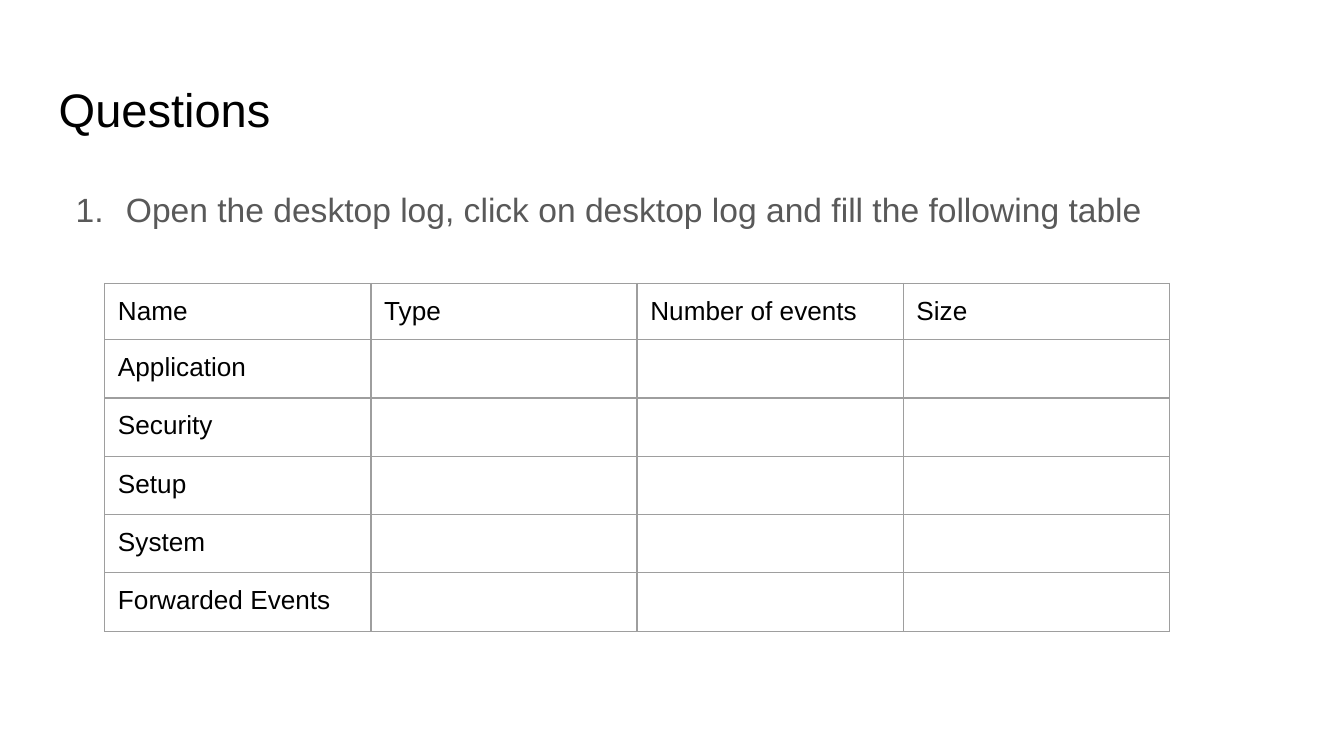
"""Build the Questions slide: one numbered task and the log table to fill in."""

from dataclasses import dataclass

from lxml import etree
from pptx import Presentation
from pptx.dml.color import RGBColor
from pptx.enum.text import MSO_ANCHOR, MSO_AUTO_SIZE, PP_ALIGN
from pptx.oxml.ns import qn
from pptx.util import Cm, Pt

LEFT = PP_ALIGN.LEFT
TOP, BOTTOM = MSO_ANCHOR.TOP, MSO_ANCHOR.BOTTOM
NO_AUTOFIT = MSO_AUTO_SIZE.NONE

COLORS = {"paper": "FFFFFF", "heading": "000000", "task": "595959", "rule": "9E9E9E"}
FONT = "Arial"
INSET = Cm(0.25)
COLUMN_WIDTH, ROW_HEIGHT = Cm(5.03), Cm(1.06)
RULE_WIDTH = Pt(0.75)
HEADERS = ("Name", "Type", "Number of events", "Size")
LOGS = ("Application", "Security", "Setup", "System", "Forwarded Events")


@dataclass(frozen=True)
class Box:
    """Place and size of a part of the slide."""

    left: Cm
    top: Cm
    width: Cm
    height: Cm


TITLE_BOX = Box(Cm(0.86), Cm(1.24), Cm(23.67), Cm(1.6))
TASK_BOX = Box(Cm(0.86), Cm(3.2), Cm(23.95), Cm(9.93))
TABLE_BOX = Box(Cm(1.98), Cm(5.36), COLUMN_WIDTH * len(HEADERS), ROW_HEIGHT * (len(LOGS) + 1))


def write(frame, text: str, *, size: float, color: str, spacing: float = 1.0):
    """Write one left-aligned paragraph and return it."""
    paragraph = frame.paragraphs[0]
    paragraph.alignment = LEFT
    paragraph.line_spacing = spacing
    paragraph.space_before = paragraph.space_after = Pt(0)
    if text:
        run = paragraph.add_run()
        run.text = text
        run.font.name = FONT
        run.font.size = Pt(size)
        run.font.color.rgb = RGBColor.from_string(COLORS[color])
    else:
        etree.SubElement(paragraph._p, qn("a:endParaRPr"), sz=str(int(size * 100)))
    return paragraph


def set_margins(target) -> None:
    """Give a text frame or a cell equal insets."""
    target.margin_left = target.margin_right = INSET
    target.margin_top = target.margin_bottom = INSET


def place(placeholder, box: Box, anchor: MSO_ANCHOR):
    """Move a placeholder and return its prepared text frame."""
    placeholder.left, placeholder.top = box.left, box.top
    placeholder.width, placeholder.height = box.width, box.height
    frame = placeholder.text_frame
    frame.word_wrap = True
    frame.auto_size = NO_AUTOFIT
    frame.vertical_anchor = anchor
    set_margins(frame)
    return frame


def add_color(parent, color: str) -> None:
    """Add a colour element under an XML parent."""
    etree.SubElement(parent, qn("a:srgbClr"), val=COLORS[color])


def number(paragraph, color: str) -> None:
    """Turn a paragraph into an automatically numbered item."""
    properties = paragraph._p.get_or_add_pPr()
    properties.set("marL", str(Cm(1.27)))
    properties.set("indent", str(Cm(-0.95)))
    add_color(etree.SubElement(properties, qn("a:buClr")), color)
    etree.SubElement(properties, qn("a:buFont"), typeface=FONT)
    etree.SubElement(properties, qn("a:buAutoNum"), type="arabicPeriod")


def outline(cell, color: str) -> None:
    """Draw a thin border on all four sides of a cell."""
    properties = cell._tc.get_or_add_tcPr()
    for side in ("L", "R", "T", "B"):
        line = etree.SubElement(properties, qn(f"a:ln{side}"), w=str(RULE_WIDTH))
        add_color(etree.SubElement(line, qn("a:solidFill")), color)


def add_log_table(slide, box: Box) -> None:
    """Add the table with the log names and blank cells to fill in."""
    rows = [HEADERS] + [(log,) + ("",) * (len(HEADERS) - 1) for log in LOGS]
    table = slide.shapes.add_table(
        len(rows), len(HEADERS), box.left, box.top, box.width, box.height
    ).table
    table.first_row = table.horz_banding = False
    for row, texts in zip(table.rows, rows):
        for cell, text in zip(row.cells, texts):
            set_margins(cell)
            outline(cell, "rule")
            cell.fill.background()
            write(cell.text_frame, text, size=14, color="heading")


def main() -> None:
    """Build and save the presentation."""
    presentation = Presentation()
    presentation.slide_width, presentation.slide_height = Cm(25.4), Cm(14.29)
    slide = presentation.slides.add_slide(presentation.slide_layouts[1])
    slide.background.fill.solid()
    slide.background.fill.fore_color.rgb = RGBColor.from_string(COLORS["paper"])

    heading = place(slide.shapes.title, TITLE_BOX, BOTTOM)
    write(heading, "Questions", size=25.2, color="heading")
    task = write(
        place(slide.placeholders[1], TASK_BOX, TOP),
        "Open the desktop log, click on desktop log and fill the following table",
        size=18, color="task", spacing=1.15,
    )
    number(task, "task")
    add_log_table(slide, TABLE_BOX)
    presentation.save("out.pptx")


if __name__ == "__main__":
    main()
